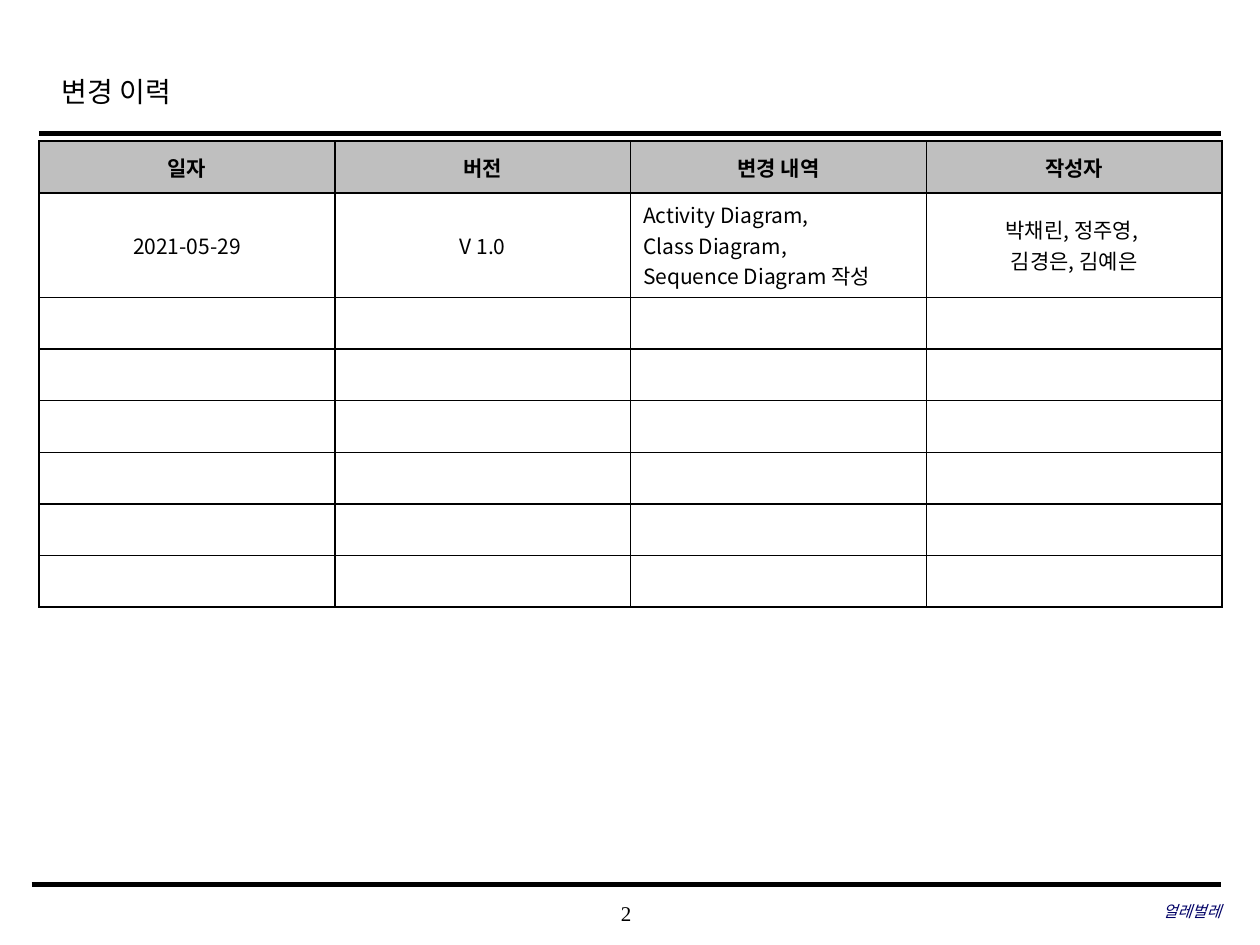
"""Build the change history slide with its revision table."""
from lxml.etree import SubElement
from pptx import Presentation
from pptx.dml.color import RGBColor
from pptx.enum.shapes import MSO_CONNECTOR
from pptx.enum.text import MSO_ANCHOR, PP_ALIGN
from pptx.oxml.ns import qn
from pptx.util import Inches, Pt

TITLE = "변경 이력"
HEADERS = ["일자", "버전", "변경 내역", "작성자"]
REVISIONS = [
    ["2021-05-29", "V 1.0",
     "Activity Diagram, \nClass Diagram, \nSequence Diagram 작성",
     "박채린, 정주영, \n김경은, 김예은"],
]
EMPTY_ROWS = 6
DETAIL_COLUMN = 2
ROW_HEIGHT, REVISION_HEIGHT = 0.41, 0.83
RULES = [(0.31, 1.06, 2.5), (0.25, 7.02, 3)]
RULE_RIGHT = 9.69
FOOTERS = [
    ("2", (3.93, 7.08, 2.08, 0.33), PP_ALIGN.CENTER, 12, "000000", False),
    ("얼레벌레", (6.63, 7.07, 3.06, 0.33), PP_ALIGN.RIGHT, 9, "000066", True),
]
THEME = {
    "serif": "Times New Roman", "sans": "Noto Sans CJK KR",
    "ink": "000000", "header": "BFBFBF", "cell": "FFFFFF",
    "title_size": 16, "table_size": 12, "border": 1,
}


def style_runs(paragraph, size, latin, color=THEME["ink"], bold=False, italic=False):
    """Format every run, with the Korean font for East Asian text."""
    for run in paragraph.runs:
        font = run.font
        font.size, font.name, font.bold, font.italic = Pt(size), latin, bold, italic
        font.color.rgb = RGBColor.from_string(color)
        SubElement(run._r.get_or_add_rPr(), qn("a:ea"), typeface=THEME["sans"])


def add_rule(slide, left, top, width):
    """Draw a horizontal rule ending at the right margin."""
    rule = slide.shapes.add_connector(
        MSO_CONNECTOR.STRAIGHT, Inches(left), Inches(top), Inches(RULE_RIGHT), Inches(top))
    rule.line.color.rgb = RGBColor.from_string(THEME["ink"])
    rule.line.width = Pt(width)
    SubElement(rule._element.spPr, qn("a:effectLst"))


def add_footer(slide, text, box, alignment, size, color, italic):
    """Add a margin-free footer text."""
    frame = slide.shapes.add_textbox(*map(Inches, box)).text_frame
    frame.word_wrap = True
    frame.vertical_anchor = MSO_ANCHOR.MIDDLE
    frame.margin_left = frame.margin_right = frame.margin_top = frame.margin_bottom = 0
    paragraph = frame.paragraphs[0]
    paragraph.text = text
    paragraph.alignment = alignment
    style_runs(paragraph, size, THEME["serif"], color, italic=italic)


def set_borders(cell):
    """Draw a line on all four sides, ahead of the cell fill."""
    properties = cell._tc.get_or_add_tcPr()
    for index, side in enumerate(("a:lnL", "a:lnR", "a:lnT", "a:lnB")):
        line = SubElement(properties, qn(side), w=str(Pt(THEME["border"])))
        fill = SubElement(line, qn("a:solidFill"))
        SubElement(fill, qn("a:srgbClr"), val=THEME["ink"])
        properties.insert(index, line)


def add_history_table(slide):
    """Add the revision table followed by its empty rows."""
    rows = [HEADERS] + REVISIONS + [[""] * len(HEADERS)] * EMPTY_ROWS
    heights = [ROW_HEIGHT] + [REVISION_HEIGHT] * len(REVISIONS) + [ROW_HEIGHT] * EMPTY_ROWS
    table = slide.shapes.add_table(
        len(rows), len(HEADERS), Inches(0.31), Inches(1.12),
        Inches(9.39), Inches(sum(heights))).table
    for row_index, (row, height) in enumerate(zip(rows, heights)):
        table.rows[row_index].height = Inches(height)
        is_header = row_index == 0
        for column_index, text in enumerate(row):
            cell = table.cell(row_index, column_index)
            cell.fill.solid()
            cell.fill.fore_color.rgb = RGBColor.from_string(
                THEME["header" if is_header else "cell"])
            set_borders(cell)
            cell.vertical_anchor = MSO_ANCHOR.MIDDLE
            paragraph = cell.text_frame.paragraphs[0]
            paragraph.text = text
            is_detail = column_index == DETAIL_COLUMN and not is_header
            paragraph.alignment = PP_ALIGN.LEFT if is_detail else PP_ALIGN.CENTER
            style_runs(paragraph, THEME["table_size"], THEME["sans"], bold=is_header)


def add_title(slide):
    """Place and format the slide title."""
    title = slide.shapes.title
    title.left, title.top, title.width, title.height = map(Inches, (0.39, 0.49, 7.55, 0.5))
    title.text_frame.vertical_anchor = MSO_ANCHOR.TOP
    paragraph = title.text_frame.paragraphs[0]
    paragraph.text = TITLE
    paragraph.alignment = PP_ALIGN.LEFT
    paragraph.line_spacing = 1.2
    style_runs(paragraph, THEME["title_size"], THEME["serif"])


def main():
    """Assemble and save the presentation."""
    presentation = Presentation()
    presentation.slide_width, presentation.slide_height = Inches(10), Inches(7.5)
    slide = presentation.slides.add_slide(presentation.slide_layouts[5])
    for rule in RULES:
        add_rule(slide, *rule)
    add_title(slide)
    for footer in FOOTERS:
        add_footer(slide, *footer)
    add_history_table(slide)
    presentation.save("out.pptx")


if __name__ == "__main__":
    main()
